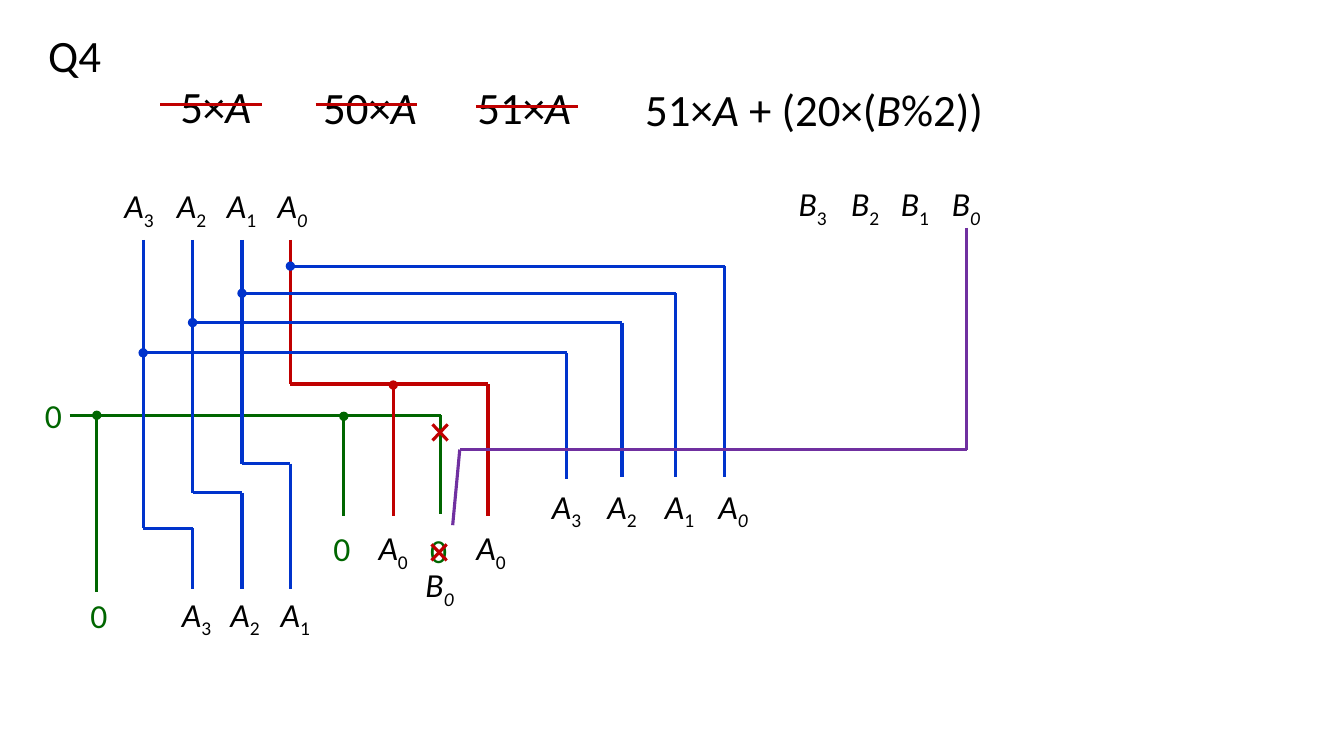
from dataclasses import dataclass
from itertools import groupby, pairwise

from lxml import etree
from pptx import Presentation
from pptx import util as u
from pptx.dml.color import RGBColor
from pptx.enum import shapes, text
from pptx.oxml import ns

PX = 9144  # 100 px to the inch
BLACK, GREEN, RED, BLUE, PURPLE = "000000", "006600", "C00000", "0033CC", "7030A0"
Point = tuple[int, int]


@dataclass
class Expression:
    formula: str
    left: int
    top: int
    width: int = 148
    strike: Point | None = None


@dataclass
class Label:
    name: str
    left: int
    top: int
    width: int
    digit: str = ""
    digit_italic: bool = False
    color: str = BLACK


@dataclass
class Tap:
    """A branch from an input column to a copied output bit."""
    column: int
    level: int
    output: int
    bottom: int = 473


@dataclass
class Shift:
    """An input column moved one place to the right."""
    column: int
    level: int
    output: int


@dataclass
class Wire:
    color: str
    points: list[Point]
    dot: bool = False


EXPRESSIONS = [
    Expression("5×A", 140, 73, strike=(159, 104)),
    Expression("50×A", 293, 74, strike=(313, 104)),
    Expression("51×A", 446, 74, strike=(472, 106)),
    Expression("51×A + (20×(B%2)) ", 605, 76, 415),
]
INPUT_OFFSETS = [("3", 0, 62), ("2", 52, 62), ("1", 98, 69), ("0", 151, 64)]
LABELS = [Label(name, left + offset, top, width, digit, digit == "0")
          for name, left, top in [("A", 107, 179), ("B", 775, 177)]
          for digit, offset, width in INPUT_OFFSETS]
LABELS += [Label("A", left, 477, 52, digit, digit == "0")
           for digit, left in zip("3210", (536, 591, 648, 701))]
LABELS += [Label("A", left, 584, 66, digit)
           for digit, left in zip("321", (162, 210, 260))]
LABELS += [Label("A", left, 518, 66, "0") for left in (357, 454)]
LABELS += [Label("0", left, top, 52, color=GREEN)
           for left, top in [(27, 387), (409, 521), (313, 519), (72, 585)]]
LABELS.append(Label("B", 404, 555, 64, "0", True))

TAPS = [Tap(288, 264, 719), Tap(240, 291, 670),
        Tap(191, 320, 617), Tap(142, 350, 562, 475)]
SHIFTS = [Shift(240, 460, 288), Shift(191, 489, 240), Shift(142, 524, 191)]
WIRES = [
    Wire(GREEN, [(69, 412), (437, 412), (437, 510)]),
    Wire(GREEN, [(341, 413), (341, 512)], dot=True),
    Wire(GREEN, [(96, 412), (96, 587)], dot=True),
    Wire(RED, [(288, 238), (288, 381), (484, 381), (484, 512)]),
    Wire(RED, [(390, 382), (390, 512)], dot=True),
]
B0_WIRE = Wire(PURPLE, [(959, 226), (959, 446), (456, 446), (449, 521)])
CROSSES = [(429, 421), (428, 540)]


def rgb(value: str) -> RGBColor:
    return RGBColor.from_string(value)


def write(slide, content: str, left: int, top: int, width: int, height: int, *,
          size: int = 32, color: str = BLACK, centered: bool = True,
          spacing: float | None = None, digit: str = "",
          digit_italic: bool = False) -> None:
    """Set the variables A and B in italics, and the digit as a subscript."""
    box = slide.shapes.add_textbox(left * PX, top * PX, width * PX, height * PX)
    frame = box.text_frame
    frame.word_wrap = True
    frame.vertical_anchor = text.MSO_ANCHOR.TOP if centered else text.MSO_ANCHOR.MIDDLE
    paragraph = frame.paragraphs[0]
    paragraph.alignment = text.PP_ALIGN.CENTER if centered else text.PP_ALIGN.LEFT
    paragraph.line_spacing = spacing
    pieces = [("".join(chars), variable, False)
              for variable, chars in groupby(content, lambda char: char in "AB")]
    if digit:
        pieces.append((digit, digit_italic, True))
    for piece, italic, subscript in pieces:
        run = paragraph.add_run()
        run.text = piece
        font = run.font
        font.name, font.size, font.italic = "Calibri", u.Pt(size), italic
        font.color.rgb = rgb(color)
        if subscript:
            font._element.set("baseline", "-25000")


def draw(slide, wire: Wire) -> None:
    for number, (start, end) in enumerate(pairwise(wire.points)):
        segment = slide.shapes.add_connector(
            shapes.MSO_CONNECTOR.STRAIGHT, *(value * PX for value in start + end))
        segment.line.color.rgb = rgb(wire.color)
        segment.line.width = u.Pt(2.25)
        if wire.dot and number == 0:
            etree.SubElement(segment.line._get_or_add_ln(), ns.qn("a:headEnd"), type="oval")
        etree.SubElement(segment._element.spPr, ns.qn("a:effectLst"))


def main() -> None:
    deck = Presentation()
    deck.slide_width, deck.slide_height = 1333 * PX, 750 * PX
    slide = deck.slides.add_slide(deck.slide_layouts[6])

    write(slide, "Q4", 38, 26, 99, 63, centered=False, spacing=0.9)
    for expression in EXPRESSIONS:
        write(slide, expression.formula, expression.left, expression.top,
              expression.width, 64)
        if expression.strike:
            x, y = expression.strike
            draw(slide, Wire(RED, [(x, y), (x + 101, y)]))
    for label in LABELS:
        write(slide, label.name, label.left, label.top, label.width, 50, size=24,
              color=label.color, digit=label.digit, digit_italic=label.digit_italic)

    for wire in WIRES:
        draw(slide, wire)
    for shift in SHIFTS:
        draw(slide, Wire(BLUE, [(shift.column, 238), (shift.column, shift.level),
                                (shift.output, shift.level), (shift.output, 584)]))
    for tap in TAPS:
        draw(slide, Wire(BLUE, [(tap.column, tap.level), (tap.output, tap.level),
                                (tap.output, tap.bottom)], dot=True))
    for x, y in CROSSES:
        draw(slide, Wire(RED, [(x + 15, y), (x, y + 16)]))
        draw(slide, Wire(RED, [(x + 15, y + 16), (x, y)]))
    draw(slide, B0_WIRE)

    deck.save("out.pptx")


if __name__ == "__main__":
    main()
